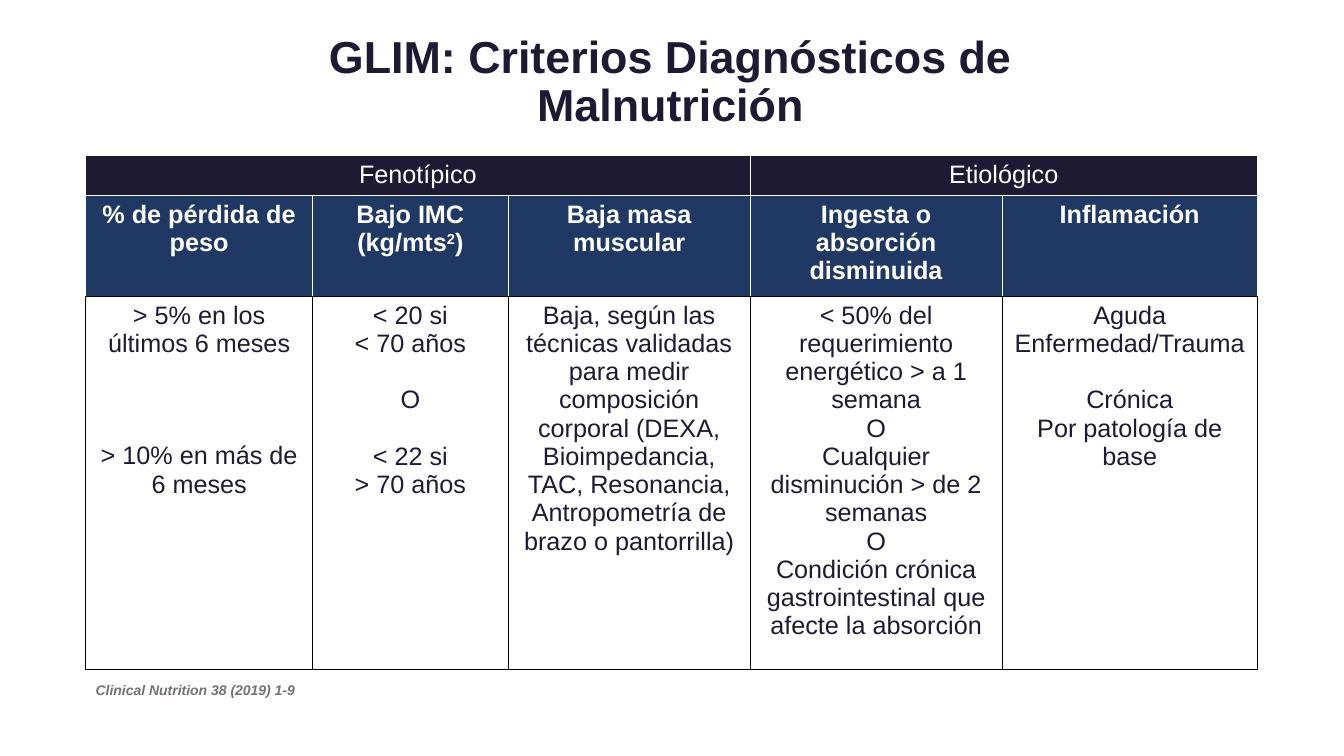
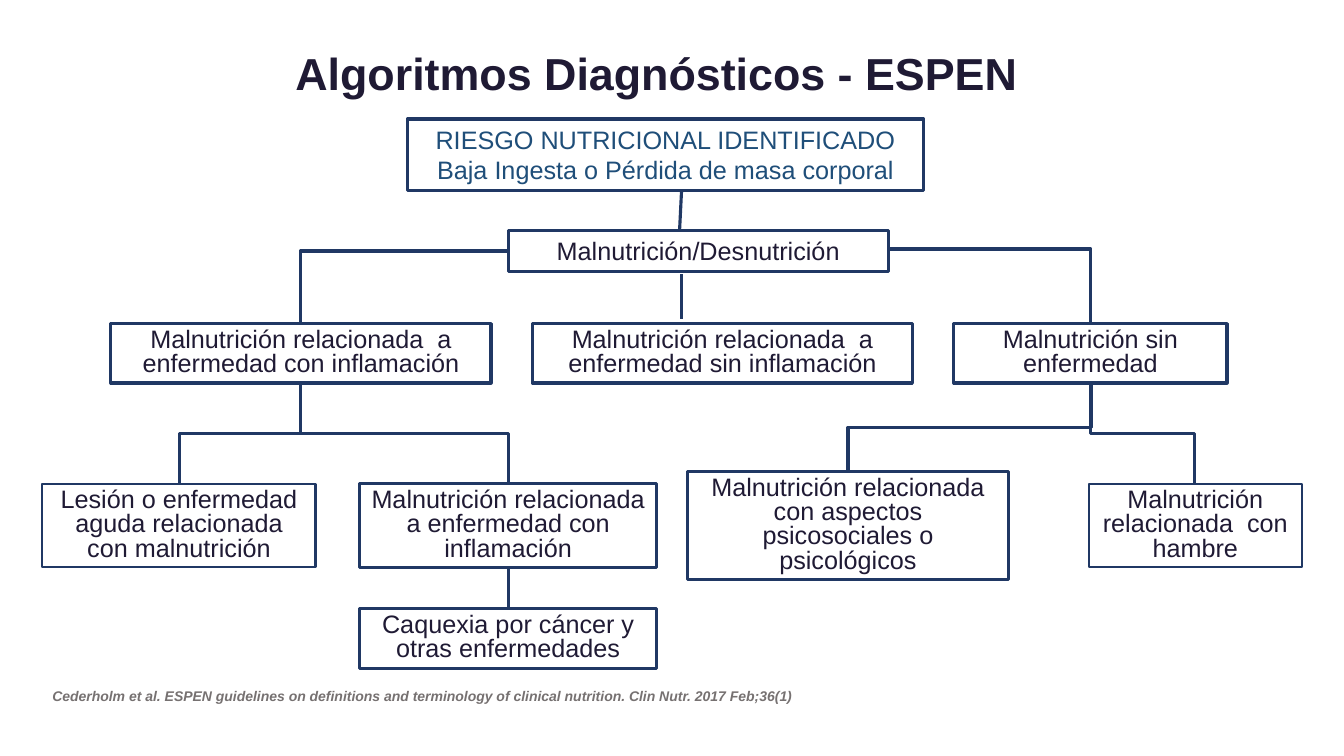
from pptx import Presentation
from pptx.dml.color import RGBColor
from pptx.enum.shapes import MSO_CONNECTOR, MSO_SHAPE
from pptx.enum.text import MSO_ANCHOR, MSO_AUTO_SIZE, PP_ALIGN
from pptx.oxml import parse_xml
from pptx.oxml.ns import nsdecls, qn
from pptx.util import Inches, Pt

INK, NAVY, BLUE, GRAY = "1F1A34", "203864", "1F4E79", "767171"
WHITE, BLACK = "FFFFFF", "000000"
rgb = RGBColor.from_string


def write(par, text, color=INK, size=18, bold=False, italic=False):
    run = par.add_run()
    run.text = text
    font = run.font
    font.name, font.size = "Arial", Pt(size)
    font.bold, font.italic = bold, italic
    font.color.rgb = rgb(color)
    return run


def link(kind, x1, y1, x2, y2):
    """Straight line, corner (across, down) or tree branch (down, across, down)."""
    ends = (x1, y1, x2, y2)
    if kind == "tree":
        # A turned elbow: its unturned frame swaps width and height
        cx, cy = (x1 + x2) / 2, (y1 + y2) / 2
        side = 1 if x2 > x1 else -1
        dx, dy = side * (y2 - y1) / 2, abs(x2 - x1) / 2
        ends = (cx + dx, cy - dy, cx - dx, cy + dy)
    form = MSO_CONNECTOR.STRAIGHT if kind == "line" else MSO_CONNECTOR.ELBOW
    line = slide.shapes.add_connector(form, *[Inches(end) for end in ends])
    line.line.color.rgb = rgb(NAVY)
    line.line.width = Pt(2.25)
    props = line.element.spPr
    props.append(parse_xml(f"<a:effectLst {nsdecls('a')}/>"))
    if kind == "tree":
        turn = 270 if side > 0 else 90
        props.find(qn("a:xfrm")).set("rot", str(turn * 60000))
    if kind == "corner":
        props.find(qn("a:prstGeom")).set("prst", "bentConnector2")
    return line


deck = Presentation()
deck.slide_width, deck.slide_height = Inches(13.33), Inches(7.5)

# Title and source note of each slide: text, then left, top, width, height
heads = [
    ("GLIM: Criterios Diagnósticos de Malnutrición", (1.99, 0.1, 9.32, 1.45),
     "Clinical Nutrition 38 (2019) 1-9", (0.85, 6.71, 2.29, 0.22)),
    ("Algoritmos Diagnósticos - ESPEN", (2.8, 0.03, 7.43, 1.45),
     "Cederholm et al. ESPEN guidelines on definitions and terminology of "
     "clinical nutrition. Clin Nutr. 2017 Feb;36(1)", (0.42, 6.77, 7.95, 0.27)),
]
for head, spot, note, base in heads:
    slide = deck.slides.add_slide(deck.slide_layouts[5])
    title = slide.shapes.title
    title.left, title.top, title.width, title.height = [Inches(n) for n in spot]
    frame = title.text_frame
    frame.auto_size = MSO_AUTO_SIZE.NONE
    frame.vertical_anchor = MSO_ANCHOR.MIDDLE
    par = frame.paragraphs[0]
    par.alignment, par.line_spacing = PP_ALIGN.CENTER, 0.9
    write(par, head, size=32, bold=True)
    foot = slide.shapes.add_textbox(*[Inches(n) for n in base])
    foot.text_frame.word_wrap = True
    write(foot.text_frame.paragraphs[0], note, GRAY, 10, True, True)

# Slide 1: table of criteria
slide = deck.slides[0]
wide, tall = [2.25, 1.94, 2.4, 2.5, 2.53], [0.38, 0.88, 3.51]
grid = slide.shapes.add_table(3, 5, Inches(0.85), Inches(1.54),
                              Inches(sum(wide)), Inches(sum(tall))).table
grid.horz_banding = False
for col, size in zip(grid.columns, wide):
    col.width = Inches(size)
for row, size in zip(grid.rows, tall):
    row.height = Inches(size)
grid.cell(0, 0).merge(grid.cell(0, 2))
grid.cell(0, 3).merge(grid.cell(0, 4))

# Each paragraph: text and the lines of space above it
rows = [
    [[("Fenotípico", 0)], [], [], [("Etiológico", 0)], []],
    [[("% de pérdida de peso", 0)], [("Bajo IMC (kg/mts", 0)],
     [("Baja masa muscular", 0)], [("Ingesta o absorción disminuida", 0)],
     [("Inflamación", 0)]],
    [[("> 5% en los últimos 6 meses", 0), ("> 10% en más de 6 meses", 3)],
     [("< 20 si", 0), ("< 70 años", 0), ("O", 1), ("< 22 si", 1), ("> 70 años", 0)],
     [("Baja, según las técnicas validadas para medir composición corporal "
       "(DEXA, Bioimpedancia, TAC, Resonancia, Antropometría de brazo o "
       "pantorrilla)", 0)],
     [("< 50% del requerimiento energético > a 1 semana", 0), ("O", 0),
      ("Cualquier disminución > de 2 semanas", 0), ("O", 0),
      ("Condición crónica gastrointestinal que afecte la absorción", 0)],
     [("Aguda", 0), ("Enfermedad/Trauma", 0), ("Crónica", 1),
      ("Por patología de base", 0)]],
]
looks = [(INK, WHITE, False, WHITE), (NAVY, WHITE, True, WHITE),
         (WHITE, INK, False, BLACK)]
for r, (row, (fill, ink, bold, edge)) in enumerate(zip(rows, looks)):
    for c, pars in enumerate(row):
        cell = grid.cell(r, c)
        props = cell._tc.get_or_add_tcPr()
        for side in "LRTB":
            tone = BLACK if r == 1 and side == "B" else edge
            props.append(parse_xml(
                f'<a:ln{side} {nsdecls("a")} w="12700"><a:solidFill>'
                f'<a:srgbClr val="{tone}"/></a:solidFill></a:ln{side}>'))
        cell.fill.solid()
        cell.fill.fore_color.rgb = rgb(fill)
        for i, (text, gap) in enumerate(pars):
            frame = cell.text_frame
            par = frame.add_paragraph() if i else frame.paragraphs[0]
            par.alignment = PP_ALIGN.CENTER
            if gap:
                par.space_before = Pt(20 * gap)
            write(par, text, ink, bold=bold)

# Raised 2 of the unit
par = grid.cell(1, 1).text_frame.paragraphs[0]
power = write(par, "2", WHITE, bold=True)
power._r.get_or_add_rPr().set("baseline", "30000")
write(par, ")", WHITE, bold=True)

# Slide 2: boxes with place, anchor, line spacing, line width, colour, texts
slide = deck.slides[1]
TOP, MID = MSO_ANCHOR.TOP, MSO_ANCHOR.MIDDLE
items = [
    ((4.04, 1.18, 5.12, 0.71), TOP, 1, 2.25, BLUE,
     ["RIESGO NUTRICIONAL IDENTIFICADO", "Baja Ingesta o Pérdida de masa corporal"]),
    ((5.04, 2.29, 3.77, 0.4), TOP, 1, 2.25, INK, ["Malnutrición/Desnutrición"]),
    ((1.1, 3.21, 3.77, 0.59), MID, 0.8, 2.25, INK,
     ["Malnutrición relacionada  a enfermedad con inflamación"]),
    ((5.28, 3.21, 3.77, 0.59), MID, 0.8, 2.25, INK,
     ["Malnutrición relacionada  a enfermedad sin inflamación"]),
    ((9.46, 3.21, 2.71, 0.59), MID, 0.8, 2.25, INK, ["Malnutrición sin enfermedad"]),
    ((0.42, 4.8, 2.71, 0.83), MID, 0.8, 1.5, INK,
     ["Lesión o enfermedad aguda relacionada con malnutrición"]),
    ((6.82, 4.68, 3.18, 1.07), MID, 0.8, 2.25, INK,
     ["Malnutrición relacionada con aspectos psicosociales o psicológicos"]),
    ((10.8, 4.8, 2.11, 0.83), MID, 0.8, 1.5, INK,
     ["Malnutrición relacionada  con hambre"]),
    ((3.57, 4.8, 2.94, 0.83), MID, 0.8, 2.25, INK,
     ["Malnutrición relacionada a enfermedad con inflamación"]),
    ((3.57, 6.04, 2.94, 0.59), TOP, 0.8, 2.25, INK,
     ["Caquexia por cáncer y otras enfermedades"]),
]
boxes = []
for spot, anchor, lead, edge, ink, texts in items:
    box = slide.shapes.add_shape(MSO_SHAPE.RECTANGLE, *[Inches(n) for n in spot])
    box.shadow.inherit = False
    box.fill.solid()
    box.fill.fore_color.rgb = rgb(WHITE)
    box.line.color.rgb = rgb(NAVY)
    box.line.width = Pt(edge)
    frame = box.text_frame
    frame.word_wrap = True
    frame.auto_size = MSO_AUTO_SIZE.SHAPE_TO_FIT_TEXT
    frame.vertical_anchor = anchor
    for i, text in enumerate(texts):
        par = frame.add_paragraph() if i else frame.paragraphs[0]
        par.alignment, par.line_spacing = PP_ALIGN.CENTER, lead
        write(par, text, ink)
    boxes.append(box)

# Links between the levels
for path_ends in [
    ("line", 6.76, 1.89, 6.74, 2.29), ("line", 6.76, 2.72, 6.76, 3.16),
    ("corner", 5.04, 2.49, 2.98, 3.21), ("corner", 8.81, 2.47, 10.82, 3.21),
    ("tree", 2.98, 3.8, 1.78, 4.8), ("tree", 2.98, 3.8, 5.04, 4.8),
    ("tree", 10.82, 3.8, 8.41, 4.68), ("tree", 10.82, 3.8, 11.85, 4.8),
]:
    link(*path_ends)
last = link("line", 5.04, 5.63, 5.04, 6.04)
last.begin_connect(boxes[-2], 2)
last.end_connect(boxes[-1], 0)

deck.save("out.pptx")
